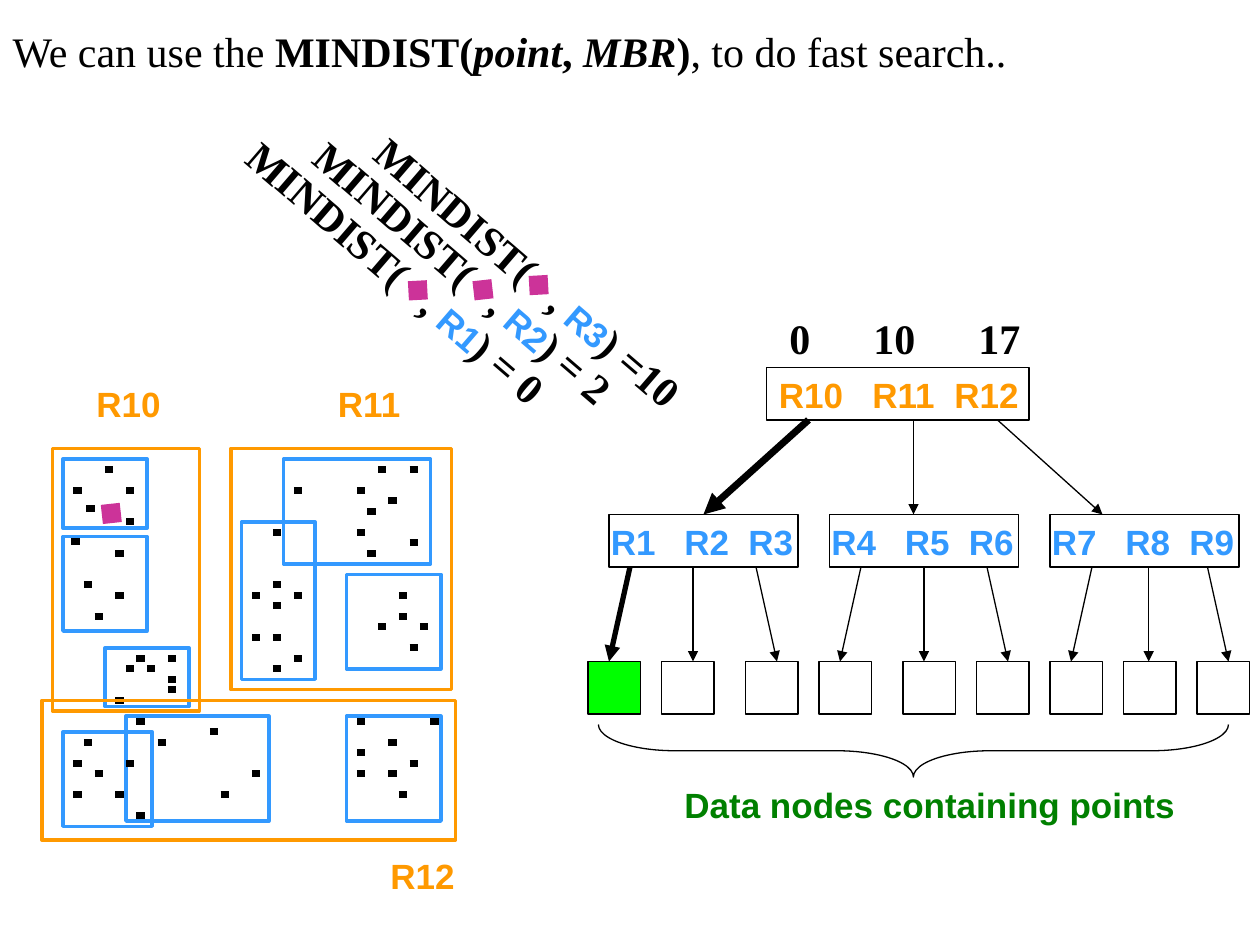
from lxml.etree import SubElement
from pptx import Presentation
from pptx.dml.color import RGBColor
from pptx.enum.shapes import MSO_CONNECTOR, MSO_SHAPE as SHAPE
from pptx.enum.text import MSO_ANCHOR as ANCHOR, MSO_AUTO_SIZE, PP_ALIGN as ALIGN
from pptx.oxml.ns import qn
from pptx.util import Emu, Pt

SCALE = 7620
BLACK = RGBColor(0x00, 0x00, 0x00)
BLUE = RGBColor(0x33, 0x99, 0xFF)
ORANGE = RGBColor(0xFF, 0x99, 0x00)
GREEN = RGBColor(0x00, 0x80, 0x00)
LIME = RGBColor(0x00, 0xFF, 0x00)
MAGENTA = RGBColor(0xCC, 0x33, 0x99)
SERIF, SANS = "Times New Roman", "Arial"

LEAF_XS = [560, 630, 710, 780, 860, 930, 1000, 1070, 1140]
LEAF_LINKS = [(600, 580), (660, 660), (720, 740), (820, 800), (880, 880),
              (940, 960), (1040, 1020), (1094, 1094), (1150, 1170)]
ROOT_LINKS = [(770, 670), (870, 870), (950, 1050)]

MBRS = [
    (60, 437, 80, 66), (60, 511, 80, 90), (100, 617, 80, 56),
    (270, 437, 140, 100), (230, 497, 70, 150), (330, 547, 90, 90),
    (60, 697, 85, 90), (120, 682, 136, 100), (330, 682, 90, 100),
]
REGIONS = [
    ("R10", (50, 427, 140, 250), (80, 358)),
    ("R11", (220, 427, 210, 230), (310, 358)),
    ("R12", (40, 667, 394, 133), (360, 808)),
]
POINTS = [
    (100, 447), (70, 467), (120, 467), (82, 484), (120, 497),
    (68, 516), (110, 527), (80, 557), (110, 567), (90, 587),
    (130, 627), (160, 627), (120, 637), (140, 637), (160, 647),
    (160, 657), (110, 667),
    (360, 447), (390, 447), (280, 467), (340, 467), (370, 477),
    (350, 487), (340, 507), (390, 517), (350, 527),
    (260, 507), (260, 557), (240, 567), (280, 567), (260, 577),
    (240, 607), (260, 607), (280, 627), (260, 637),
    (380, 567), (380, 587), (360, 597), (400, 597), (390, 617),
    (80, 707), (70, 727), (120, 727), (90, 737), (70, 757),
    (110, 757), (130, 777),
    (130, 687), (200, 697), (150, 707), (240, 737), (210, 757),
    (340, 687), (410, 687), (370, 707), (340, 717), (390, 727),
    (340, 737), (370, 737), (380, 757),
]
DISTANCES = [
    ("R1", ") = 0", 187, 382, (389, 277, 407, 276)),
    ("R2", ") = 2", 251, 382, (451, 277, 469, 275)),
    ("R3", ") =10", 308, 391, (504, 272, 522, 271)),
]


def px(*values):
    return [Emu(v * SCALE) for v in values]


def write(sp, runs, *, size=24, font=SERIF, color=BLACK, bold=False,
          align=ALIGN.LEFT, anchor=ANCHOR.TOP, wrap=True, tabs=()):
    tf = sp.text_frame
    tf.word_wrap = wrap
    tf.auto_size = MSO_AUTO_SIZE.NONE
    tf.vertical_anchor = anchor
    p = tf.paragraphs[0]
    p.alignment = align
    if tabs:
        tab_list = SubElement(p._p.get_or_add_pPr(), qn("a:tabLst"))
        for pos in px(*tabs):
            SubElement(tab_list, qn("a:tab"), pos=str(pos), algn="l")
    if isinstance(runs, str):
        runs = [(runs, {})]
    for text, own in runs:
        r = p.add_run()
        r.text = text
        f = r.font
        f.name = own.get("font", font)
        f.size = Pt(own.get("size", size))
        f.bold = own.get("bold", bold)
        f.italic = own.get("italic", False)
        f.color.rgb = own.get("color", color)
        if "spacing" in own:
            r._r.get_or_add_rPr().set("spc", str(own["spacing"] * 100))


def add_text(shapes, box, runs, rotation=0, **fmt):
    sp = shapes.add_textbox(*px(*box))
    sp.rotation = rotation
    write(sp, runs, **fmt)


def add_outline(shapes, box, color=BLACK, width=0.75, fill=None, kind=SHAPE.RECTANGLE):
    sp = shapes.add_shape(kind, *px(*box))
    sp.shadow.inherit = False
    if fill is None:
        sp.fill.background()
    else:
        sp.fill.solid()
        sp.fill.fore_color.rgb = fill
    sp.line.color.rgb = color
    sp.line.width = Pt(width)
    return sp


def add_line(shapes, ends, color=BLACK, width=0.75, arrow=False):
    line = shapes.add_connector(MSO_CONNECTOR.STRAIGHT, *px(*ends))
    line.line.color.rgb = color
    line.line.width = Pt(width)
    if arrow:
        SubElement(line.line._get_or_add_ln(), qn("a:tailEnd"), type="triangle")
    SubElement(line._element.spPr, qn("a:effectLst"))


def add_title(slide):
    sp = slide.shapes.title
    sp.left, sp.top, sp.width, sp.height = px(0, 18, 1120, 60)
    strong, slanted = {"bold": True}, {"bold": True, "italic": True}
    write(sp, [("We can use the ", {}), ("MINDIST(", strong), ("point", slanted),
               (", ", strong), ("MBR", slanted), (")", strong),
               (", to do fast search..", {})], anchor=ANCHOR.MIDDLE)


def add_tree(shapes):
    add_outline(shapes, (730, 350, 250, 50))
    add_text(shapes, (730, 350, 260, 53), "R10\tR11\tR12", size=20, font=SANS,
             color=ORANGE, bold=True, tabs=(89, 167))
    add_text(shapes, (740, 292, 244, 60), "0\t10\t17", bold=True, tabs=(80, 180))
    for i in range(3):
        x, n = 580 + 210 * i, 3 * i + 1
        add_outline(shapes, (x, 490, 180, 50))
        add_text(shapes, (x - 10, 490, 210, 53), f"R{n}\tR{n + 1}\tR{n + 2}", size=20,
                 font=SANS, color=BLUE, bold=True, tabs=(70, 131))
    for i, x in enumerate(LEAF_XS):
        add_outline(shapes, (x, 630, 50, 50), fill=None if i else LIME)
    for links, top, bottom, heavy in ((ROOT_LINKS, 400, 490, 4), (LEAF_LINKS, 540, 630, 3)):
        for i, (start, end) in enumerate(links):
            add_line(shapes, (start, top, end, bottom), width=0.75 if i else heavy, arrow=True)
    brace = add_outline(shapes, (845, 415, 50, 600), kind=SHAPE.LEFT_BRACE)
    brace.rotation = 270
    brace.adjustments[0] = 1.46
    add_text(shapes, (640, 740, 530, 53), "Data nodes containing points", size=20,
             font=SANS, color=GREEN, bold=True)


def add_map(shapes):
    for box in MBRS:
        add_outline(shapes, box, BLUE, 2)
    for x, y in POINTS:
        add_line(shapes, (x, y, x + 8, y), width=4)
    for name, box, (x, y) in REGIONS:
        add_outline(shapes, box, ORANGE, 2)
        add_text(shapes, (x, y, 85, 53), name, size=20, font=SANS, color=ORANGE,
                 bold=True, wrap=False)
    add_line(shapes, (97, 490, 115, 488), MAGENTA, 11)


def add_distances(shapes):
    for name, result, x, width, marker in DISTANCES:
        runs = [("MINDIST(", {}), (" ", {"spacing": 12}), (", ", {}),
                (name, {"size": 20, "font": SANS, "color": BLUE}), (result, {})]
        add_text(shapes, (x, 229, width, 60), runs, rotation=40.7, bold=True,
                 align=ALIGN.CENTER, wrap=False)
        add_line(shapes, marker, MAGENTA, 11)


def main():
    prs = Presentation()
    prs.slide_width, prs.slide_height = px(1200, 900)
    slide = prs.slides.add_slide(prs.slide_layouts[5])
    add_title(slide)
    add_tree(slide.shapes)
    add_map(slide.shapes.add_group_shape().shapes)
    add_distances(slide.shapes)
    prs.save("out.pptx")


if __name__ == "__main__":
    main()
